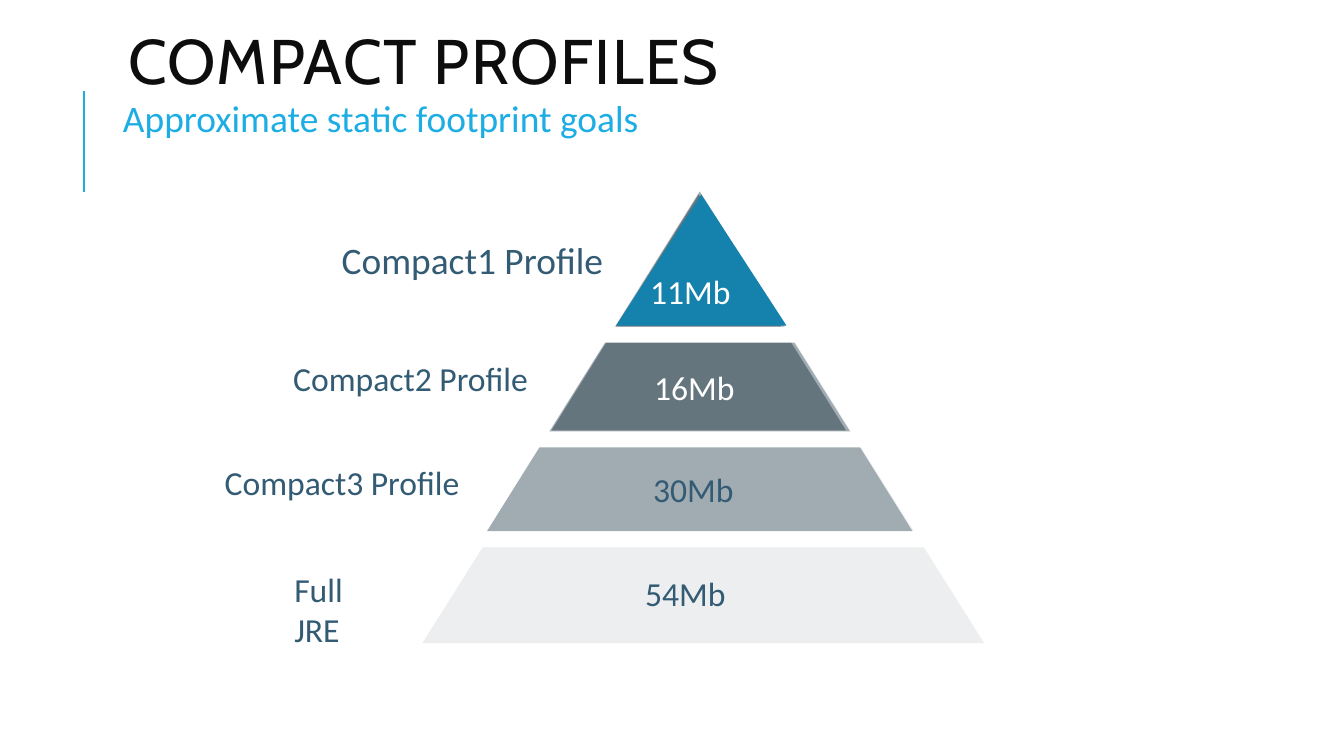
from lxml import etree
from pptx import Presentation
from pptx.dml.color import RGBColor
from pptx.enum.shapes import MSO_CONNECTOR, MSO_SHAPE
from pptx.enum.text import MSO_ANCHOR, MSO_AUTO_SIZE, PP_ALIGN
from pptx.oxml.ns import qn
from pptx.util import Inches, Pt

TRIANGLE, RECT = MSO_SHAPE.ISOSCELES_TRIANGLE, MSO_SHAPE.RECTANGLE
STRAIGHT = MSO_CONNECTOR.STRAIGHT
TOP, MIDDLE = MSO_ANCHOR.TOP, MSO_ANCHOR.MIDDLE
LEFT = PP_ALIGN.LEFT
NO_FIT, GROW = MSO_AUTO_SIZE.NONE, MSO_AUTO_SIZE.SHAPE_TO_FIT_TEXT
TITLE_ONLY = 5
COLS, ROWS = 133.3, 75

COLORS = {
    "black": "0D0D0D", "white": "FFFFFF", "accent": "1CADE4", "label": "335B74",
    "light": "ECEEEF", "mid": "A1ACB2", "dark": "65757D", "blue": "1482AC",
}


def color(name):
    return RGBColor.from_string(COLORS[name])


def write(tf, text, size=24, font="Calibri", fill="label", wrap=False,
          inset=None, anchor=TOP, fit=GROW, spacing=None, tracking=None):
    tf.word_wrap = wrap
    tf.auto_size = fit
    tf.vertical_anchor = anchor
    if inset is not None:
        tf.margin_left = tf.margin_right = inset
        tf.margin_top = tf.margin_bottom = inset
    p = tf.paragraphs[0]
    p.alignment = LEFT
    if spacing:
        p.line_spacing = spacing
    r = p.add_run()
    r.text = text
    r.font.name, r.font.size = font, Pt(size)
    r.font.color.rgb = color(fill)
    if tracking:
        r.font._element.set("spc", str(tracking))


class Deck:
    """Builds slides on a grid of tenth-inch columns and rows."""

    def __init__(self):
        self.prs = Presentation()
        self.prs.slide_width, self.prs.slide_height = Inches(13.33), Inches(7.5)
        self.s = self.prs.slides.add_slide(self.prs.slide_layouts[TITLE_ONLY])

    def x(self, cols):
        return round(self.prs.slide_width * cols / COLS)

    def y(self, rows):
        return round(self.prs.slide_height * rows / ROWS)

    def box(self, col, row, cols, rows):
        return self.x(col), self.y(row), self.x(cols), self.y(rows)

    def title(self, text, *at, **style):
        sp = self.s.shapes.title
        sp.left, sp.top, sp.width, sp.height = self.box(*at)
        write(sp.text_frame, text, **style)

    def text(self, text, *at, **style):
        sp = self.s.shapes.add_textbox(*self.box(*at))
        write(sp.text_frame, text, **style)

    def shape(self, kind, fill, *at):
        sp = self.s.shapes.add_shape(kind, *self.box(*at))
        sp.shadow.inherit = False
        sp.fill.solid()
        sp.fill.fore_color.rgb = color(fill)
        sp.line.fill.background()

    def line(self, col1, row1, col2, row2, fill, width):
        sp = self.s.shapes.add_connector(
            STRAIGHT, self.x(col1), self.y(row1), self.x(col2), self.y(row2))
        sp.line.color.rgb = color(fill)
        sp.line.width = Pt(width)
        etree.SubElement(sp._element.spPr, qn("a:effectLst"))


def main():
    deck = Deck()
    deck.line(8.3, 19, 8.3, 9, "accent", 1.5)
    deck.title("COMPACT PROFILES", 11.7, 3.6, 120, 5.9, size=45, font="Cabin",
               fill="black", wrap=True, anchor=MIDDLE, fit=NO_FIT,
               spacing=0.8, tracking=100)
    deck.text("Approximate static footprint goals", 11.7, 9.5, 120, 4.4,
              size=26.7, fill="accent", wrap=True, inset=Inches(0.05),
              fit=NO_FIT, spacing=0.9)

    tiers = [
        ("light", (41.9, 19.5, 55.7, 44.3), (35.1, 52.7)),
        ("mid", (48.3, 19, 42.2, 33.7), (38.6, 42.8)),
        ("dark", (54.7, 19.3, 29.2, 23.4), (38, 32.4)),
        ("blue", (61.1, 19.3, 16.9, 13), None),
    ]
    for fill, at, gap in tiers:
        deck.shape(TRIANGLE, fill, *at)
        if gap:
            deck.shape(RECT, "white", *gap, 71.3, 1.6)

    deck.text("Compact1 Profile", 32.9, 23, 33, 5.5, size=26.7, wrap=True)
    deck.text("Compact2 Profile", 28.1, 35, 25.4, 5)
    deck.text("Compact3 Profile", 21.3, 45.3, 25.4, 5)
    deck.text("Full JRE", 28.2, 55.9, 11.8, 5, wrap=True)

    sizes = [
        ("54Mb", 63, 56.3, "label"),
        ("30Mb", 63.8, 46, "label"),
        ("16Mb", 63.9, 35.9, "white"),
        ("11Mb", 63.5, 26.4, "white"),
    ]
    for size, col, row, fill in sizes:
        deck.text(size, col, row, 10.2, 5, fill=fill)

    deck.prs.save("out.pptx")


if __name__ == "__main__":
    main()
